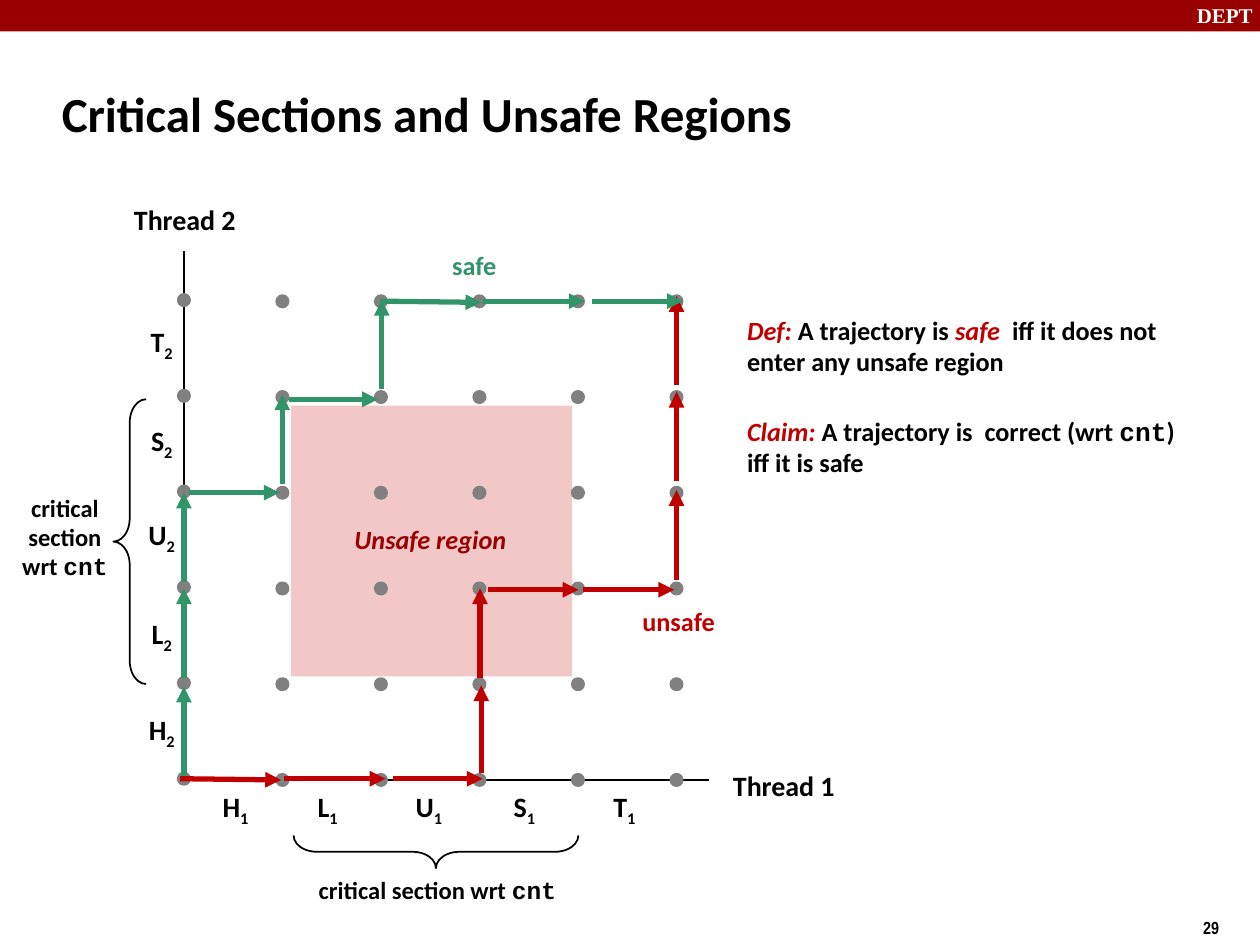
from lxml.etree import SubElement
from pptx import Presentation
from pptx.dml.color import RGBColor
from pptx.enum.shapes import MSO_CONNECTOR, MSO_SHAPE
from pptx.enum.text import MSO_ANCHOR, PP_ALIGN
from pptx.oxml.ns import qn
from pptx.util import Pt

COLORS = {
    "black": "000000",
    "white": "FFFFFF",
    "gray": "808080",
    "band": "990000",
    "pink": "F1C7C7",
    "red": "C00000",
    "green": "32946A",
}
STEPS = "HLUST"
MID_X = [134.6, 187.2, 245, 299.6, 356.8]
MID_Y = [418, 363.2, 306.7, 252.7, 196.2]
LEFT, BASE = 105.1, 445.7
GAP_X, GAP_Y = 56.3, 54.7
UNSAFE = [
    (103, 445, 160.6, 445.7), (162, 445, 220.3, 445),
    (224.6, 445, 275.8, 445), (275, 442, 275, 391.7),
    (274.3, 387.4, 274.3, 336.2), (278.6, 337, 330.5, 337),
    (333.4, 337, 385.2, 337), (386.6, 331.2, 386.6, 280.1),
    (386.6, 275, 386.6, 223.9), (386.6, 220.3, 386.6, 169.2),
]
SAFE = [
    (105.1, 443.5, 105.1, 392.4), (105.1, 387.4, 105.1, 336.2),
    (105.1, 332.6, 105.1, 281.5), (108, 281.5, 159.8, 281.5),
    (161.3, 276.5, 161.3, 225.4), (164.9, 228.2, 216, 228.2),
    (218.2, 222.5, 218.2, 171.4), (217.4, 172.1, 275, 172.8),
    (275.8, 172.1, 334.1, 172.1), (338.4, 172.1, 390.2, 172.1),
]


def tint(name):
    return RGBColor.from_string(COLORS[name])


def run(para, text, size, color="black", font="Calibri", slant=False, drop=False):
    part = para.add_run()
    part.text = text
    part.font.size = Pt(size)
    part.font.name = font
    part.font.bold = True
    part.font.italic = slant
    part.font.color.rgb = tint(color)
    if drop:
        part.font._element.set("baseline", "-25000")


def text_box(slide, x, y, w, h, align=PP_ALIGN.LEFT, wrap=False, anchor=MSO_ANCHOR.MIDDLE):
    frame = slide.shapes.add_textbox(Pt(x), Pt(y), Pt(w), Pt(h)).text_frame
    frame.word_wrap = wrap
    frame.vertical_anchor = anchor
    frame.paragraphs[0].alignment = align
    return frame


def label(slide, text, x, y, w, h, size, color="black", **style):
    frame = text_box(slide, x, y, w, h)
    run(frame.paragraphs[0], text, size, color, **style)


def step_name(slide, letter, thread, x, y):
    frame = text_box(slide, x - 18, y - 14.4, 36, 28.8, PP_ALIGN.CENTER)
    run(frame.paragraphs[0], letter, 16)
    run(frame.paragraphs[0], thread, 16, drop=True)


def section(slide, x, y, w, h, wrap):
    frame = text_box(slide, x, y, w, h, PP_ALIGN.CENTER, wrap)
    run(frame.paragraphs[0], "critical section wrt ", 14)
    run(frame.paragraphs[0], "cnt", 14, font="Courier New")


def block(shapes, kind, x, y, w, h, fill=None, line=None, width=1):
    shape = shapes.add_shape(kind, Pt(x), Pt(y), Pt(w), Pt(h))
    shape.shadow.inherit = False
    if fill:
        shape.fill.solid()
        shape.fill.fore_color.rgb = tint(fill)
    else:
        shape.fill.background()
    if line:
        shape.line.color.rgb = tint(line)
        shape.line.width = Pt(width)
    else:
        shape.line.fill.background()
    return shape


def brace(slide, x, y, turn=0):
    shape = block(slide.shapes, MSO_SHAPE.LEFT_BRACE, x, y, 18.7, 162.7, line="black")
    shape.adjustments[0] = 0.715
    shape.rotation = turn


def stroke(slide, ends, color="black", width=1, arrow=False):
    line = slide.shapes.add_connector(MSO_CONNECTOR.STRAIGHT, *map(Pt, ends))
    line.line.color.rgb = tint(color)
    line.line.width = Pt(width)
    if arrow:
        SubElement(line.line._get_or_add_ln(), qn("a:tailEnd"), type="triangle")
    SubElement(line._element.spPr, qn("a:effectLst"))


def route(slide, legs, color):
    for leg in legs:
        stroke(slide, leg, color, 3, True)


def dots(slide):
    for col in range(6):
        group = slide.shapes.add_group_shape()
        base = BASE if col else BASE - 0.7
        for row in range(6):
            block(group.shapes, MSO_SHAPE.OVAL, LEFT + col * GAP_X - 3,
                  base - row * GAP_Y - 3, 6, 6, "gray", "gray", 2)


def heading(slide, text):
    title = slide.shapes.title
    title.left, title.top, title.width, title.height = map(Pt, (28.1, 34.6, 597.6, 59.8))
    frame = title.text_frame
    frame.vertical_anchor = MSO_ANCHOR.MIDDLE
    frame.paragraphs[0].alignment = PP_ALIGN.LEFT
    run(frame.paragraphs[0], text, 28)


def rules(slide):
    frame = text_box(slide, 419.8, 179.3, 275.8, 115, wrap=True, anchor=MSO_ANCHOR.TOP)
    frame.margin_top = frame.margin_bottom = 0
    para = frame.paragraphs[0]
    para.space_after = Pt(22)
    run(para, "Def: ", 15, "red", slant=True)
    run(para, "A trajectory is ", 15)
    run(para, "safe  ", 15, "red", slant=True)
    run(para, "iff it does not enter any unsafe region", 15)
    para = frame.add_paragraph()
    run(para, "Claim: ", 15, "red", slant=True)
    run(para, "A trajectory is  correct (wrt ", 15)
    run(para, "cnt", 15, font="Courier New")
    run(para, ")  iff it is safe", 15)


def main():
    deck = Presentation()
    deck.slide_width, deck.slide_height = Pt(720), Pt(540)
    slide = deck.slides.add_slide(deck.slide_layouts[5])

    block(slide.shapes, MSO_SHAPE.RECTANGLE, 0, 0, 720, 18, "band")
    label(slide, "DEPT", 676.8, -2.2, 48.2, 21.6, 12, "white", font="Times New Roman")
    label(slide, "29", 680.4, 519.8, 36, 20.9, 10, font="Arial Narrow")
    block(slide.shapes, MSO_SHAPE.RECTANGLE, 166.3, 231.8, 160.6, 154.8, "pink")
    heading(slide, "Critical Sections and Unsafe Regions")

    stroke(slide, (LEFT, BASE, 405.4, BASE))
    stroke(slide, (LEFT, BASE, LEFT, 143.3))
    for letter, x, y in zip(STEPS, MID_X, MID_Y):
        step_name(slide, letter, "1", x, 462.2)
        step_name(slide, letter, "2", 92.4, y)
    label(slide, "Thread 1", 411.8, 435.6, 80, 26.6, 16)
    label(slide, "Thread 2", 69.5, 112.3, 80, 26.6, 16)
    dots(slide)

    brace(slide, 64.8, 228.2)
    brace(slide, 239.8, 405.4, 270)
    section(slide, 170, 496.4, 160, 23.8, False)
    section(slide, 0, 277.9, 74.2, 57.6, True)
    label(slide, "Unsafe region", 195.4, 295.2, 110, 25.2, 15, "band", slant=True)
    rules(slide)

    route(slide, UNSAFE, "red")
    label(slide, "unsafe", 360, 342, 66, 25.2, 15, "red")
    route(slide, SAFE, "green")
    label(slide, "safe", 251.3, 139, 50, 25.2, 15, "green")
    deck.save("out.pptx")


if __name__ == "__main__":
    main()
